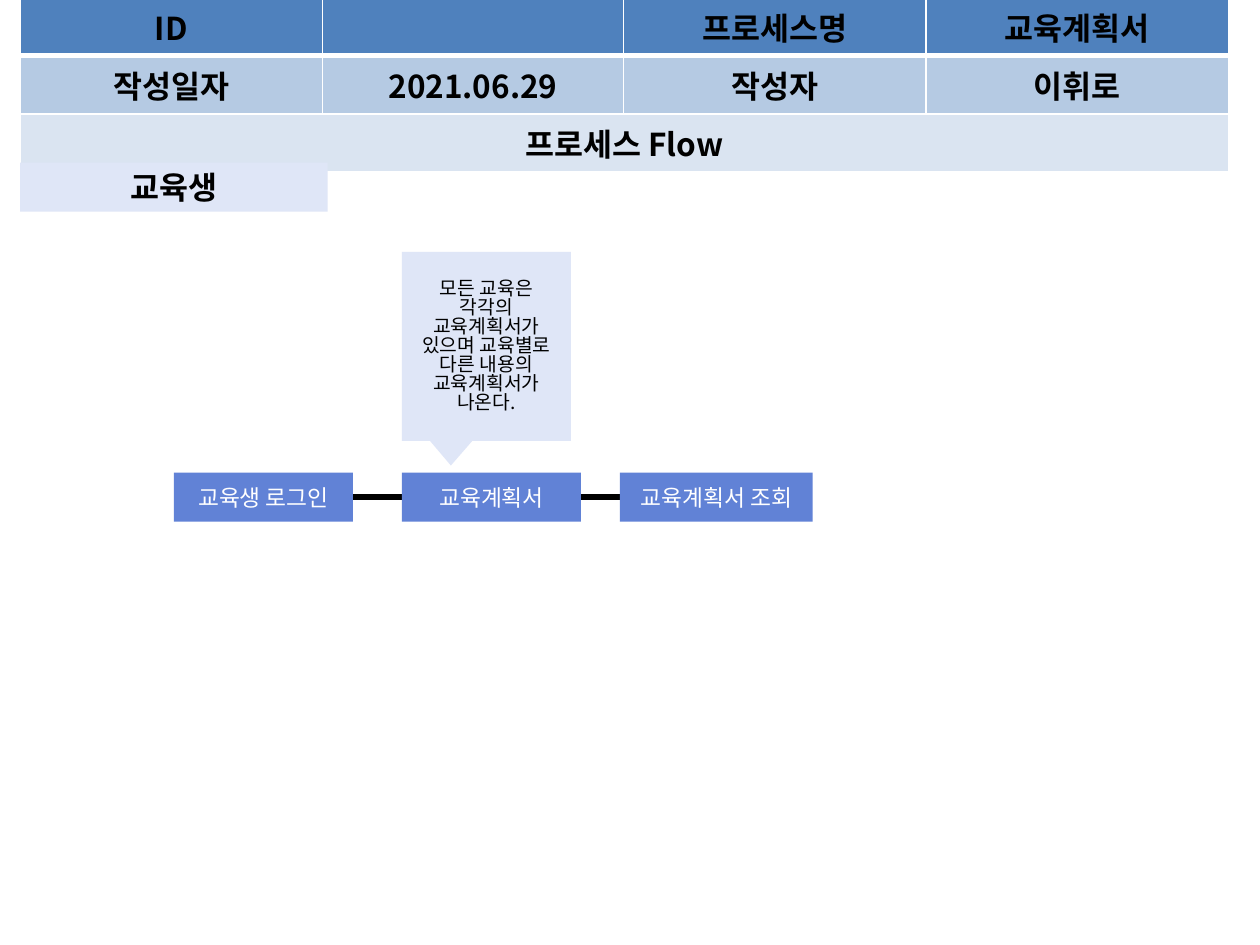
from dataclasses import dataclass

from lxml.etree import SubElement
from pptx import Presentation
from pptx.dml.color import RGBColor
from pptx.enum.shapes import MSO_CONNECTOR, MSO_SHAPE
from pptx.enum.text import MSO_ANCHOR, PP_ALIGN
from pptx.oxml import parse_xml
from pptx.oxml.ns import nsdecls, qn
from pptx.shapes.autoshape import Shape
from pptx.slide import Slide
from pptx.table import _Cell as Cell
from pptx.text.text import TextFrame
from pptx.util import Inches, Pt


@dataclass(frozen=True)
class Theme:
    """Colours, font and type sizes of the slide."""
    font: str = "Noto Sans CJK KR"
    ink: str = "000000"
    paper: str = "FFFFFF"
    step: str = "6182D6"
    pale: str = "DFE6F7"
    rows: tuple[str, ...] = ("4F81BD", "B5CAE3", "DAE4F1")
    heading: float = 18
    label: float = 13
    note: float = 11


@dataclass(frozen=True)
class Box:
    """A filled box with centred text; lengths in inches."""
    text: str
    left: float
    top: float
    width: float
    height: float
    fill: str
    size: float
    color: str
    bold: bool = False
    kind: MSO_SHAPE = MSO_SHAPE.RECTANGLE
    spacing: float = 1.0


THEME = Theme()
STEP_TOP, STEP_HEIGHT = 3.75, 0.39
COLUMNS = (1.02, 1.38, 2.39, 2.4, 2.4)
ROW_HEIGHT = 0.41
HEADER = (
    ("ID", None, "", "프로세스명", "교육계획서"),
    ("작성일자", None, "2021.06.29", "작성자", "이휘로"),
    ("프로세스 Flow", None, None, None, None),
)
STEPS = (
    ("교육생 로그인", 1.38, 1.42),
    ("교육계획서", 3.19, 1.42),
    ("교육계획서 조회", 4.92, 1.53),
)
ACTOR = Box("교육생", 0.16, 1.29, 2.44, 0.39, THEME.pale, THEME.heading, THEME.ink, bold=True)
NOTE = Box(
    "모든 교육은 각각의 교육계획서가 있으며 교육별로 다른 내용의 교육계획서가 나온다.",
    3.19, 2, 1.34, 1.5, THEME.pale, THEME.note, THEME.ink,
    kind=MSO_SHAPE.RECTANGULAR_CALLOUT, spacing=0.82,
)


def write(frame: TextFrame, text: str, *, size: float, color: str,
          bold: bool = False, spacing: float = 1.0) -> None:
    """Put one centred, formatted paragraph into a text frame."""
    frame.word_wrap = True
    paragraph = frame.paragraphs[0]
    paragraph.alignment = PP_ALIGN.CENTER
    paragraph.line_spacing = spacing
    run = paragraph.add_run()
    run.text = text
    run.font.name = THEME.font
    run.font.size = Pt(size)
    run.font.bold = bold
    run.font.color.rgb = RGBColor.from_string(color)
    SubElement(run.font._element, qn("a:ea"), typeface=THEME.font)


def add_box(slide: Slide, box: Box) -> Shape:
    """Draw a flat box with its text."""
    shape = slide.shapes.add_shape(
        box.kind, Inches(box.left), Inches(box.top), Inches(box.width), Inches(box.height))
    shape.shadow.inherit = False
    shape.fill.solid()
    shape.fill.fore_color.rgb = RGBColor.from_string(box.fill)
    shape.line.fill.background()
    shape.text_frame.vertical_anchor = MSO_ANCHOR.MIDDLE
    write(shape.text_frame, box.text, size=box.size, color=box.color,
          bold=box.bold, spacing=box.spacing)
    return shape


def set_borders(cell: Cell, **widths: float) -> None:
    """Give a cell paper-coloured borders, widths in points by side."""
    properties = cell._tc.get_or_add_tcPr()
    for index, (side, width) in enumerate(widths.items()):
        properties.insert(index, parse_xml(
            f'<a:ln{side} {nsdecls("a")} w="{Pt(width)}"><a:solidFill>'
            f'<a:srgbClr val="{THEME.paper}"/></a:solidFill></a:ln{side}>'))


def add_header(slide: Slide) -> None:
    """Draw the header table; None continues the cell to its left."""
    table = slide.shapes.add_table(
        len(HEADER), len(COLUMNS), Inches(0.16), Inches(-0.02),
        Inches(sum(COLUMNS)), Inches(ROW_HEIGHT * len(HEADER))).table
    table.first_row = table.horz_banding = False
    for column, width in zip(table.columns, COLUMNS):
        column.width = Inches(width)
    for r, (texts, fill) in enumerate(zip(HEADER, THEME.rows)):
        table.rows[r].height = Inches(ROW_HEIGHT)
        for c, text in enumerate(texts):
            cell = table.cell(r, c)
            cell.fill.solid()
            cell.fill.fore_color.rgb = RGBColor.from_string(fill)
            set_borders(cell, L=1, R=1, T=3 if r == 1 else 1, B=3 if r == 0 else 1)
            if text:
                write(cell.text_frame, text, size=THEME.heading, color=THEME.ink, bold=True)
        last = max((c for c, text in enumerate(texts) if text is None), default=0)
        if last:
            table.cell(r, 0).merge(table.cell(r, last))


def add_flow(slide: Slide) -> None:
    """Draw the process steps over the line that joins them."""
    _, first_left, first_width = STEPS[0]
    middle = Inches(STEP_TOP + STEP_HEIGHT / 2)
    link = slide.shapes.add_connector(
        MSO_CONNECTOR.STRAIGHT, Inches(first_left + first_width), middle,
        Inches(STEPS[-1][1]), middle)
    link.line.width = Pt(3)
    link.line.color.rgb = RGBColor.from_string(THEME.ink)
    SubElement(link._element.spPr, qn("a:effectLst"))
    for text, left, width in STEPS:
        add_box(slide, Box(text, left, STEP_TOP, width, STEP_HEIGHT,
                           THEME.step, THEME.label, THEME.paper))


def main() -> None:
    """Build and save the slide."""
    deck = Presentation()
    deck.slide_width, deck.slide_height = Inches(10), Inches(7.5)
    slide = deck.slides.add_slide(deck.slide_layouts[6])
    add_header(slide)
    add_box(slide, ACTOR)
    add_flow(slide)
    callout = add_box(slide, NOTE)
    callout.adjustments[0], callout.adjustments[1] = -0.21, 0.63
    deck.save("out.pptx")


main()
